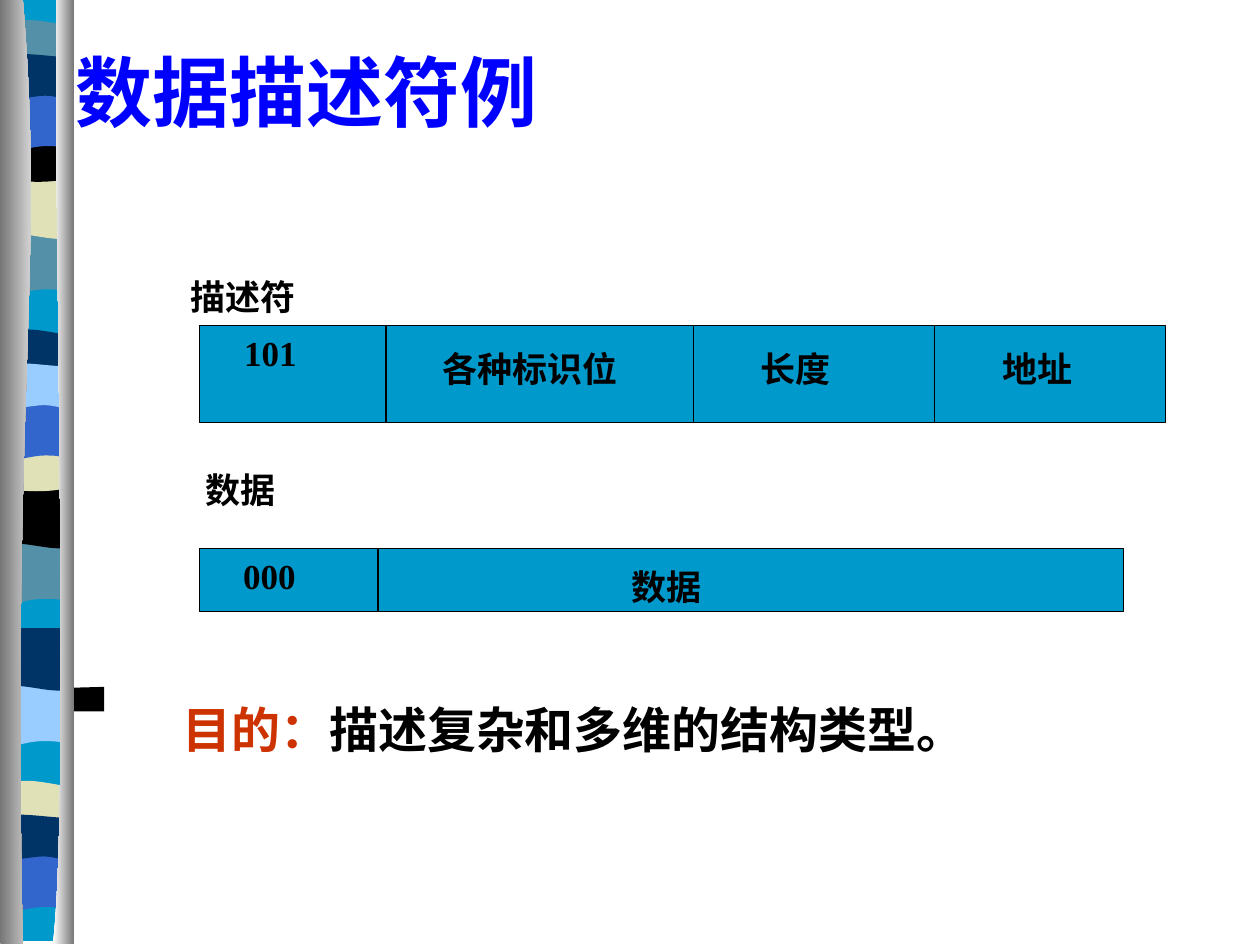
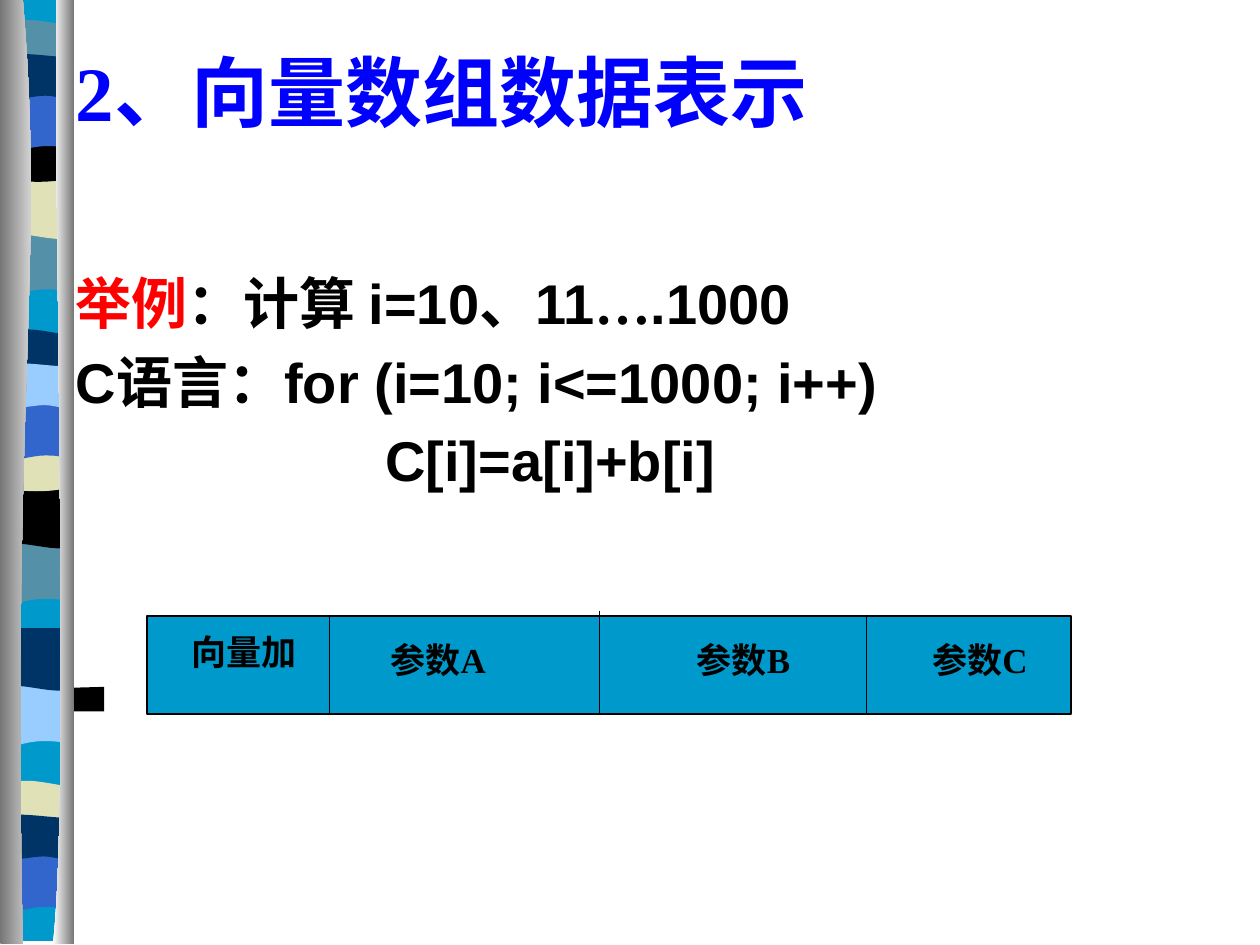
"""Build two slides on data descriptors and vector array representation."""
import pptx
import pptx.util
import pptx.dml.color
import pptx.enum.shapes
import pptx.enum.text
import pptx.oxml.ns
from lxml import etree

Pt = pptx.util.Pt
SERIF, SANS, CHINESE = "Times New Roman", "Arial", "Noto Sans CJK SC"
BLACK, CYAN, NAVY, BLUE = "000000", "0099CC", "003366", "3366CC"
SKY, SAND, TEAL = "99CCFF", "E1E1B7", "5490A8"
WHITE, GREY = "FFFFFF", "767676"


def paint(fill, *colours):
    """Fill with one colour, or with a left-to-right gradient of two."""
    if len(colours) == 1:
        fill.solid()
        fill.fore_color.rgb = pptx.dml.color.RGBColor.from_string(colours[0])
    else:
        fill.gradient()
        fill.gradient_angle = 0
        for stop, colour in zip(fill.gradient_stops, colours):
            stop.color.rgb = pptx.dml.color.RGBColor.from_string(colour)


def write(paragraph, text, size=20, colour=BLACK, font=SERIF):
    """Add bold text to a paragraph."""
    paragraph.line_spacing = 1.0
    run = paragraph.add_run()
    run.text = text
    run.font.size = Pt(size)
    run.font.bold = True
    paint(run.font.fill, colour)
    run.font.name = font
    east_asian = etree.SubElement(run.font._element, pptx.oxml.ns.qn("a:ea"))
    east_asian.set("typeface", CHINESE)


deck = pptx.Presentation()
deck.slide_width, deck.slide_height = Pt(720), Pt(540)
descriptor = deck.slides.add_slide(deck.slide_layouts[5])
vector = deck.slides.add_slide(deck.slide_layouts[1])

waves = {
    "foot": [(42, 133.2), (42, 167), (13.7, 161.3, 8.6, 172.8, 2, 167), (2, 133.2)],
    "swell": [(42, 100.8), (42, 134.6), (34.6, 140.4, 13.7, 131, 2, 134.6),
              (2, 100.8)],
    "crest": [(42, 15), (42, 32.4), (34.6, 35.3, 8.6, 35.3, 2, 32.4), (2, 15),
              (4.3, 11.5, 10.8, 11.5, 17.3, 11.5), (23.8, 11.5, 36.7, 14.4, 42, 15)],
    "bowl": [(42, 77), (42, 100.8), (34.6, 105, 8.6, 105, 2, 100.8), (2, 77),
             (25.9, 80.6, 33.1, 77, 42, 77)],
    "arch": [(42, 53.3), (42, 87), (35.3, 83.5, 33.1, 83.5, 25.9, 83.5),
             (19.4, 83.5, 7.9, 87, 2, 87), (2, 53.3)],
    "ripple": [(42, 32.4), (42, 54.7), (38.9, 58.3, 33.1, 54.7, 25.9, 54.7),
               (19.4, 54.7, 5.8, 58.3, 2, 54.7), (2, 32.4),
               (7.2, 28.8, 28.8, 32.4, 35.3, 32.4), (42.5, 32.4, 40.3, 32.4, 42, 32.4)],
}
groups = [
    (0, 0, {"foot": TEAL, "swell": SAND, "crest": TEAL,
            "bowl": BLACK, "arch": BLUE, "ripple": NAVY}),
    (-0.7, 176.8, {"foot": TEAL, "swell": BLACK, "crest": NAVY,
                   "bowl": SAND, "arch": BLUE, "ripple": SKY}),
    (-1.1, 258.1, {"foot": SKY, "swell": NAVY}),
    (-1.1, 434.7, {"crest": SAND, "arch": BLUE, "ripple": NAVY}),
]
outlines = [((CYAN,), 0, 0, [(42, -0.7), (42, 538), (2, 538), (2, -0.7)])]
outlines += [((colour,), dx, dy, waves[wave])
             for dx, dy, colours in groups for wave, colour in colours.items()]
outlines += [
    ((BLACK,), 0, 0, [(42, 393), (59.5, 392.5), (59.5, 406.5), (42, 406.5)]),
    ((GREY, WHITE), 0, 0, [(13, -0.7), (26, 155.5, 6.5, 213, 13, 539.3),
                           (0, 539.3), (0, -0.7)]),
    ((WHITE, GREY), 0, 0, [(32.4, -0.7), (30.2, 90, 40.3, 465, 30.2, 539.3),
                           (42.4, 539.3), (42.4, 0)]),
]
master_tree = deck.slide_master.element.cSld.spTree
for position, (colours, dx, dy, segments) in enumerate(outlines):
    points = [(Pt(x + dx), Pt(y + dy)) for segment in segments
              for x, y in zip(segment[::2], segment[1::2])]
    builder = descriptor.shapes.build_freeform(*points[0])
    builder.add_line_segments(points[1:], close=True)
    band = builder.convert_to_shape()
    band.shadow.inherit = False
    paint(band.fill, *colours)
    band.line.fill.background()
    lines = iter(band.element.findall(".//" + pptx.oxml.ns.qn("a:lnTo")))
    for segment in segments[1:]:
        line = next(lines)
        if len(segment) == 6:
            curve = etree.Element(pptx.oxml.ns.qn("a:cubicBezTo"))
            line.addprevious(curve)
            for control in (line, next(lines), next(lines)):
                curve.append(control[0])
                control.getparent().remove(control)
    master_tree.insert(2 + position, band.element)

for slide, heading in ((descriptor, "数据描述符例"), (vector, "2、向量数组数据表示")):
    title = slide.shapes.title
    title.left, title.top, title.width, title.height = Pt(36), Pt(21.6), Pt(648), Pt(90)
    title.text_frame.auto_size = pptx.enum.text.MSO_AUTO_SIZE.NONE
    title.text_frame.vertical_anchor = pptx.enum.text.MSO_ANCHOR.TOP
    title_line = title.text_frame.paragraphs[0]
    title_line.alignment = pptx.enum.text.PP_ALIGN.LEFT
    write(title_line, heading, size=44, colour="0000FF")

example = vector.placeholders[1]
example.left, example.top, example.width, example.height = Pt(36), Pt(150), Pt(648), Pt(150)
example.text_frame.auto_size = pptx.enum.text.MSO_AUTO_SIZE.NONE
example.text_frame.vertical_anchor = pptx.enum.text.MSO_ANCHOR.TOP
steps = [
    (27, -27, 0, [("举例", SERIF, "FF0000"), ("：计算 ", SERIF, BLACK),
                  ("i=10", SANS, BLACK), ("、", SERIF, BLACK), ("11", SANS, BLACK),
                  ("…", SERIF, BLACK), (".1000", SANS, BLACK)]),
    (27, -27, 6.4, [("C", SANS, BLACK), ("语言：", SERIF, BLACK),
                    ("for (i=10; i<=1000; i++)", SANS, BLACK)]),
    (177, 0, 6.4, [("C[i]=a[i]+b[i]", SANS, BLACK)]),
]
for number, (margin, indent, before, pieces) in enumerate(steps):
    frame = example.text_frame
    step_line = frame.add_paragraph() if number else frame.paragraphs[0]
    step_line.space_before = Pt(before)
    properties = step_line._p.get_or_add_pPr()
    properties.set("marL", str(Pt(margin)))
    properties.set("indent", str(Pt(indent)))
    etree.SubElement(properties, pptx.oxml.ns.qn("a:buNone"))
    for text, font, colour in pieces:
        write(step_line, text, size=32, colour=colour, font=font)

words = [
    (descriptor, (114, 185.8, 552, 55.8), [(220.6, 0), (396.2, 0), (534.2, 0)],
     [("101", 132.5, 185.8, 69), ("各种标识位", 245.5, 195, 117.5),
      ("长度", 427.5, 195, 62.5), ("地址", 566, 195, 62.5)]),
    (descriptor, (114, 313.4, 528, 36), [(216, 0)],
     [("000", 131.8, 313.2, 66), ("数据", 354, 319.7, 112)]),
    (vector, (84, 352, 528, 56), [(188.5, 0), (342.4, 3), (495.2, 0)],
     [("向量加", 102.2, 357, 83.5), ("参数A", 216, 361.5, 142),
      ("参数B", 391, 361.5, 75.6), ("参数C", 525.6, 361.5, 75.6)]),
]
labels = []
for slide, (left, top, width, height), dividers, fields in words:
    word = slide.shapes.add_shape(pptx.enum.shapes.MSO_SHAPE.RECTANGLE,
                                  Pt(left), Pt(top), Pt(width), Pt(height))
    word.shadow.inherit = False
    paint(word.fill, CYAN)
    paint(word.line.fill, BLACK)
    word.line.width = Pt(0.75)
    for x, overshoot in dividers:
        divider = slide.shapes.add_connector(
            pptx.enum.shapes.MSO_CONNECTOR.STRAIGHT,
            Pt(x), Pt(top - overshoot), Pt(x), Pt(top + height))
        paint(divider.line.fill, BLACK)
        divider.line.width = Pt(0.75)
        etree.SubElement(divider.element.spPr, pptx.oxml.ns.qn("a:effectLst"))
    labels += [(slide, x, y, span, 31, [(text, {})]) for text, x, y, span in fields]

labels += [
    (descriptor, 102, 150, 130, 36, [("描述符", {"font": CHINESE}), (" ", {"size": 24})]),
    (descriptor, 110.2, 264.2, 102, 31, [("数据", {})]),
    (descriptor, 97.2, 396, 462, 70, [("目的：", {"size": 28, "colour": "CC3300"}),
                                      ("描述复杂和多维的结构类型。", {"size": 28})]),
]
for slide, x, y, span, height, pieces in labels:
    label = slide.shapes.add_textbox(Pt(x), Pt(y), Pt(span), Pt(height))
    label.text_frame.word_wrap = True
    for text, style in pieces:
        write(label.text_frame.paragraphs[0], text, **style)

deck.save("out.pptx")
